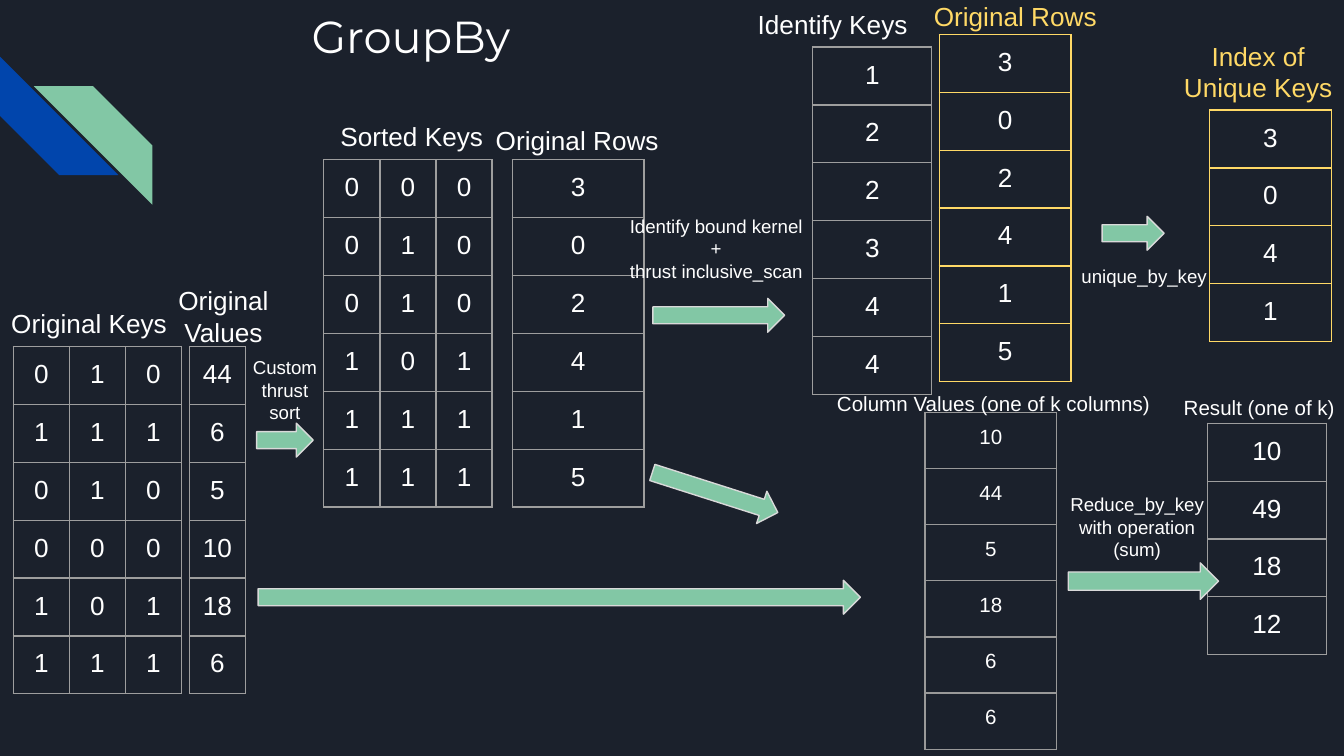
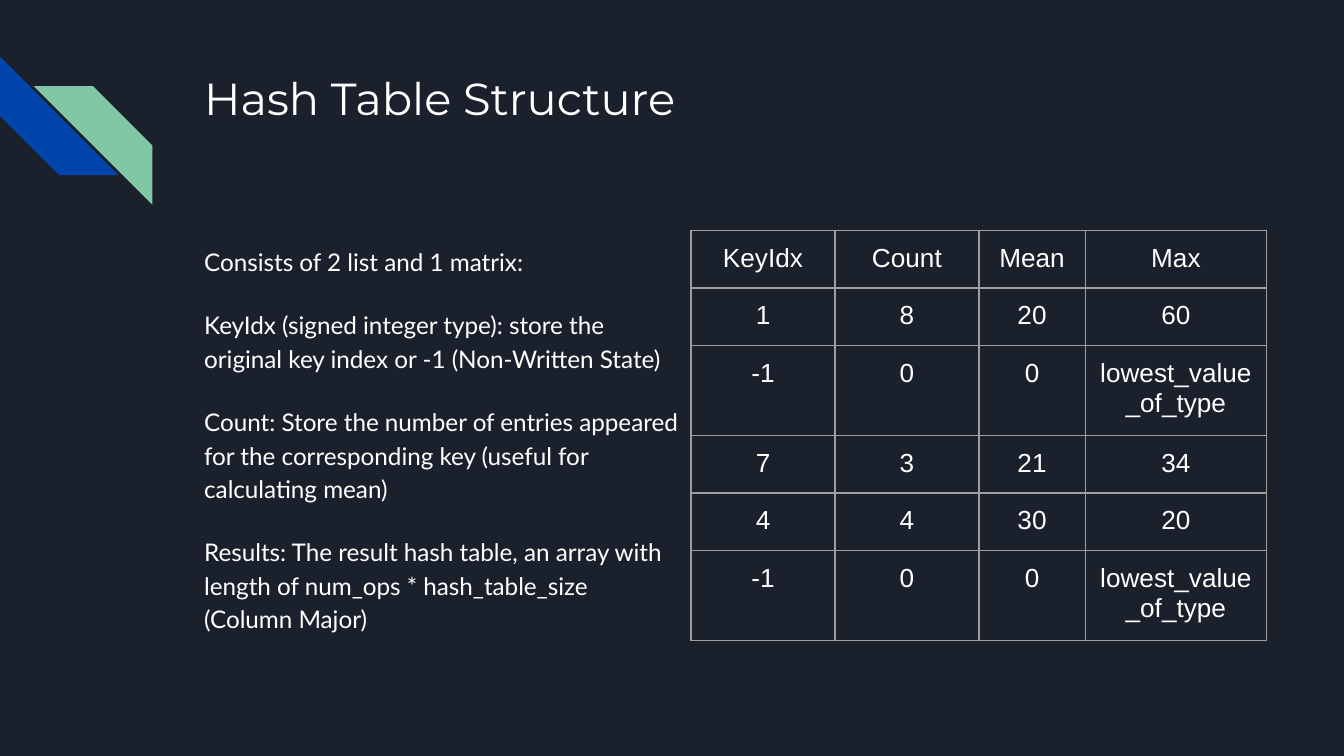
import dataclasses
import pptx
import pptx.dml.color
import pptx.enum.shapes
import pptx.enum.text
import pptx.oxml
import pptx.oxml.ns
import pptx.util

Cm, Pt = pptx.util.Cm, pptx.util.Pt
RGB = pptx.dml.color.RGBColor.from_string
SHAPE = pptx.enum.shapes.MSO_SHAPE
LEFT, MID = pptx.enum.text.PP_ALIGN.LEFT, pptx.enum.text.PP_ALIGN.CENTER


@dataclasses.dataclass(frozen=True)
class Theme:
    back: str = "1B212C"
    blue: str = "0145AC"
    green: str = "82C7A5"
    white: str = "FFFFFF"
    gold: str = "FFD966"
    gray: str = "9E9E9E"
    dim: str = "999999"
    edge: str = "D9D9D9"
    head: str = "Montserrat"
    body: str = "Lato"
    font: str = "Arial"
    title: int = 24
    text: int = 13
    label: int = 14
    small: int = 11
    note: int = 10
    pad: float = 0.25
    row: float = 1.06
    line: float = 0.75


theme = Theme()


def write(slide, box, text, size, align=MID, color=theme.white, font=theme.font):
    """Add a wrapped text box at box (left, top, width, height in cm)."""
    frame = slide.shapes.add_textbox(*map(Cm, box)).text_frame
    frame.word_wrap = True
    frame.margin_left = frame.margin_right = Cm(theme.pad)
    frame.margin_top = frame.margin_bottom = Cm(theme.pad)
    frame.text = text
    for para in frame.paragraphs:
        para.alignment = align
        for run in para.runs:
            run.font.size, run.font.name = Pt(size), font
            run.font.color.rgb = RGB(color)
    return frame


def grid(slide, left, top, cols, rows, edge=theme.gray, size=theme.label):
    """Add an unfilled table; cols holds widths in cm, each row its words."""
    table = slide.shapes.add_table(
        len(rows), len(cols), Cm(left), Cm(top),
        Cm(sum(cols)), Cm(theme.row * len(rows))).table
    table.first_row = table.horz_banding = False
    for col, width in zip(table.columns, cols):
        col.width = Cm(width)
    for line, row in zip(table.rows, rows):
        line.height = Cm(theme.row)
        for cell, word in zip(line.cells, row.split()):
            cell.margin_left = cell.margin_right = Cm(theme.pad)
            cell.margin_top = cell.margin_bottom = Cm(theme.pad)
            cell.text_frame.text = word
            para = cell.text_frame.paragraphs[0]
            para.alignment = MID
            font = para.runs[0].font
            font.size, font.name = Pt(size), theme.font
            font.bold = False
            font.color.rgb = RGB(theme.white)
            cell.fill.background()
            props = cell._tc.get_or_add_tcPr()
            for spot, side in enumerate(("lnL", "lnR", "lnT", "lnB")):
                props.insert(spot, pptx.oxml.parse_xml(
                    f'<a:{side} {pptx.oxml.ns.nsdecls("a")} w="{Pt(theme.line)}">'
                    f'<a:solidFill><a:srgbClr val="{edge}"/></a:solidFill>'
                    f'</a:{side}>'))


deck = pptx.Presentation()
deck.slide_width, deck.slide_height = Cm(25.4), Cm(14.29)
fill = deck.slide_master.background.fill
fill.solid()
fill.fore_color.rgb = RGB(theme.back)

# Stripes and title on each slide
slides = []
for name, left, top, inset in (
    ("GroupBy", 3.1, -0.08, 1.27),
    ("Hash Table Structure", 3.61, 1.09, 0),
):
    slide = deck.slides.add_slide(deck.slide_layouts[6])
    slides.append(slide)
    for x, y, turn, flip, color in (
        (0, 1.07, 270, "0", theme.blue),
        (0.64, 1.63, 0, "1", theme.green),
    ):
        stripe = slide.shapes.add_shape(
            SHAPE.DIAGONAL_STRIPE, Cm(x), Cm(y), Cm(2.24), Cm(2.24))
        stripe.rotation = turn
        stripe._element.spPr.xfrm.set("flipH", flip)
        stripe.shadow.inherit = False
        stripe.fill.solid()
        stripe.fill.fore_color.rgb = RGB(color)
        stripe.line.fill.background()
    frame = write(slide, (left, top, 19.56, 2.54), name, theme.title, LEFT,
                  font=theme.head)
    props = frame.paragraphs[0]._p.get_or_add_pPr()
    props.set("marL", str(Cm(inset)))
    props.set("indent", str(Cm(inset)))

group, hashes = slides

# GroupBy: key and value tables
three = [theme.row] * 3
grid(group, 0.25, 6.55, three,
     ["0 1 0", "1 1 1", "0 1 0", "0 0 0", "1 0 1", "1 1 1"])
grid(group, 6.12, 3.02, three,
     ["0 0 0", "0 1 0", "0 1 0", "1 0 1", "1 1 1", "1 1 1"])
for left, top, width, words, edge, size in (
    (3.58, 6.55, theme.row, "44 6 5 10 18 6", theme.gray, theme.label),
    (9.68, 3.02, 2.49, "3 0 2 4 1 5", theme.gray, theme.label),
    (15.36, 0.89, 2.25, "1 2 2 3 4 4", theme.gray, theme.label),
    (17.75, 0.65, 2.49, "3 0 2 4 1 5", theme.gold, theme.label),
    (22.86, 2.08, 2.3, "3 0 4 1", theme.gold, theme.label),
    (17.48, 7.8, 2.49, "10 44 5 18 6 6", theme.dim, theme.small),
    (22.82, 8, 2.25, "10 49 18 12", theme.gray, theme.label),
):
    grid(group, left, top, [width], words.split(), edge, size)

# GroupBy: table headings
for box, text, size, align, color in (
    ((-0.08, 5.56, 3.53, 0.64), "Original Keys", theme.label, MID, theme.white),
    ((2.46, 5.13, 3.53, 0.64), "Original Values", theme.label, MID, theme.white),
    ((6.02, 2.03, 3.53, 0.64), "Sorted Keys", theme.label, MID, theme.white),
    ((9.02, 2.1, 3.78, 0.76), "Original Rows", theme.label, MID, theme.white),
    ((14.07, -0.1, 3.53, 0.64), "Identify Keys", theme.label, LEFT, theme.white),
    ((17.3, -0.25, 3.78, 0.76), "Original Rows", theme.label, MID, theme.gold),
    ((21.89, 0.51, 3.78, 0.76), "Index of Unique Keys", theme.label, MID,
     theme.gold),
    ((15.06, 7.16, 7.44, 0.91), "Column Values (one of k columns)", theme.small,
     MID, theme.white),
    ((21.69, 7.24, 4.22, 0.64), "Result (one of k)", theme.small, MID,
     theme.white),
):
    write(group, box, text, size, align, color)

# GroupBy: steps between the tables
for box, text, align in (
    ((4.47, 6.48, 1.83, 0.97), "Custom thrust sort", MID),
    ((11.58, 3.81, 3.91, 2.36),
     "Identify bound kernel +\nthrust inclusive_scan", MID),
    ((20.19, 4.8, 3.05, 0.97), "unique_by_key", LEFT),
    ((19.38, 9.07, 4.22, 1.04), "Reduce_by_key\nwith operation\n(sum)", MID),
):
    write(group, box, text, theme.note, align)

for left, top, width, height, turn in (
    (4.85, 8, 1.07, 0.64, 0),
    (12.34, 5.64, 2.49, 0.64, 0),
    (20.83, 4.09, 1.17, 0.64, 0),
    (20.19, 10.64, 2.84, 0.69, 0),
    (4.88, 10.97, 11.38, 0.64, 0),
    (12.27, 8.99, 2.49, 0.64, 17.7),
):
    arrow = group.shapes.add_shape(
        SHAPE.RIGHT_ARROW, Cm(left), Cm(top), Cm(width), Cm(height))
    arrow.rotation = turn
    arrow.shadow.inherit = False
    arrow.fill.solid()
    arrow.fill.fore_color.rgb = RGB(theme.green)
    arrow.line.color.rgb = RGB(theme.edge)
    arrow.line.width = Pt(theme.line)

# Hash table: description and sample
points = (
    "Consists of 2 list and 1 matrix:",
    "KeyIdx (signed integer type): store the original key index or -1 "
    "(Non-Written State)",
    "Count: Store the number of entries appeared for the corresponding key "
    "(useful for calculating mean)",
    "Results: The result hash table, an array with length of "
    "num_ops * hash_table_size (Column Major)",
)
frame = write(hashes, (3.61, 4.34, 9.45, 8.08), "\n".join(points), theme.text,
              LEFT, font=theme.body)
for para in frame.paragraphs:
    para.line_spacing = 1.15
for para in frame.paragraphs[1:]:
    para.space_before = Pt(16)
frame.paragraphs[-1].space_after = Pt(16)

grid(hashes, 13.06, 4.35, [2.72, 2.72, 2.01, 3.43], [
    "KeyIdx Count Mean Max",
    "1 8 20 60",
    "-1 0 0 lowest_value_of_type",
    "7 3 21 34",
    "4 4 30 20",
    "-1 0 0 lowest_value_of_type",
])

deck.save("out.pptx")
